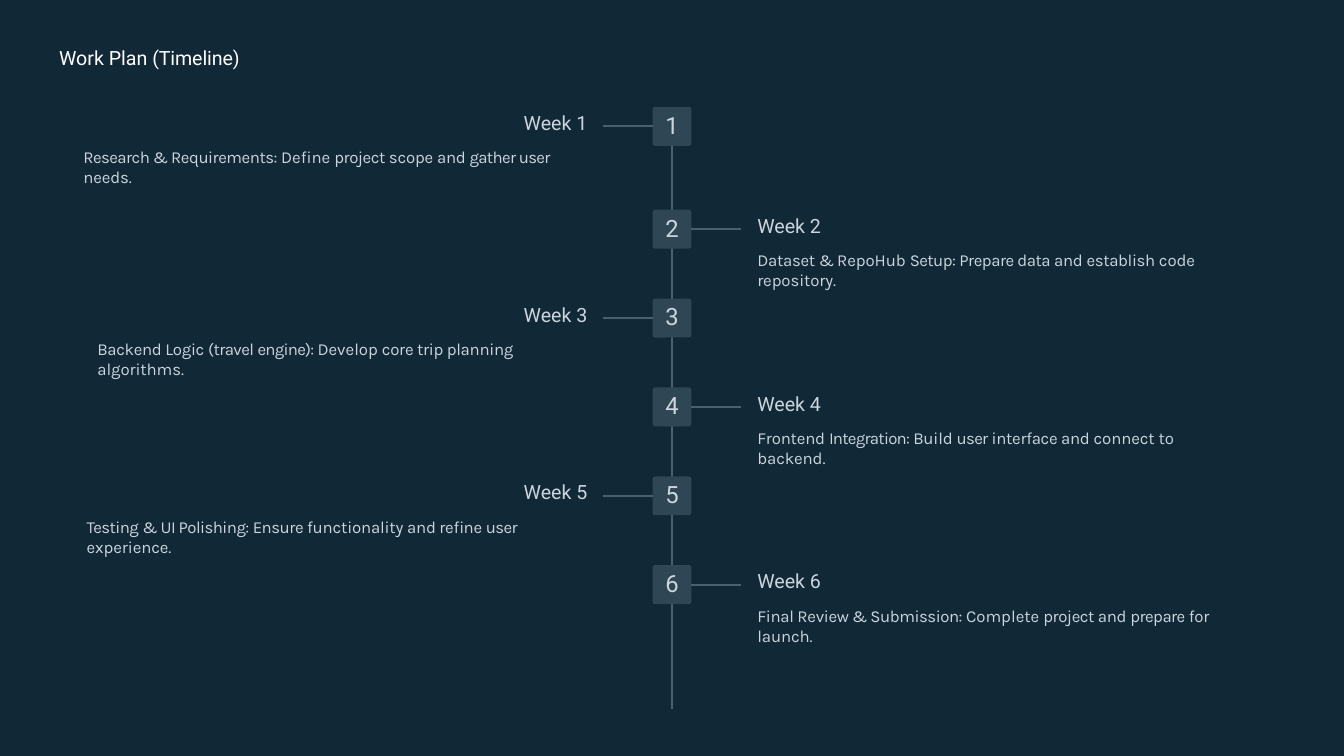
from lxml.etree import SubElement
from pptx import Presentation
from pptx.dml.color import RGBColor
from pptx.enum.shapes import MSO_CONNECTOR as Connector, MSO_SHAPE as Shape
from pptx.enum.text import MSO_ANCHOR as Anchor, MSO_AUTO_SIZE as AutoSize, PP_ALIGN as Align
from pptx.oxml.ns import qn
from pptx.util import Inches, Pt

COLORS = {
    "background": "112836",
    "square": "2F4654",
    "line": "49606E",
    "title": "FFFFFF",
    "text": "CAD5DE",
}
WEEKS = [
    (1.24, 7.5, [("Research", -0.6), (" & ", -1.1), ("Requirements: ", -0.5), ("Define ", 0),
                 ("project ", -0.5), ("scope ", -0.2), ("and ", -0.3), ("gather user ", -0.7),
                 ("needs.", -0.1)]),
    (11.26, 7.23, [("Dataset ", -0.3), ("& ", -1.1), ("RepoHub ", -0.1), ("Setup: ", -0.6),
                   ("Prepare data ", -0.5), ("and ", -0.3), ("establish ", -0.4),
                   ("code repository.", -0.1)]),
    (1.45, 7.29, [("Backend ", -0.4), ("Logic ", -0.3), ("(travel ", -0.6), ("engine): ", -0.8),
                  ("Develop ", 0), ("core trip planning ", -0.3), ("algorithms.", -0.1)]),
    (11.26, 7.03, [("Frontend ", -0.2), ("Integration: ", -0.8), ("Build ", -0.2),
                   ("user ", -0.7), ("interface and ", -0.3), ("connect ", -0.1), ("to ", 0),
                   ("backend.", -0.1)]),
    (1.29, 7.45, [("Testing ", -0.6), ("& ", -1.1), ("UI Polishing: ", -0.6), ("Ensure ", -0.5),
                  ("functionality ", -0.2), ("and refine ", -0.3), ("user ", -0.7),
                  ("experience.", -0.1)]),
    (11.26, 7.32, [("Final Review", -0.3), (" & ", -1.1), ("Submission: ", -0.5),
                   ("Complete ", 0), ("project ", -0.5), ("and ", -0.3), ("prepare ", -0.6),
                   ("for ", -0.2), ("launch.", -0.1)]),
]


def write_runs(paragraph, runs, font_name, size, color, space_before=0):
    paragraph.space_before = Pt(space_before)
    for text, spacing in runs:
        run = paragraph.add_run()
        run.text = text
        run.font.name = font_name
        run.font.size = Pt(size)
        run.font.color.rgb = RGBColor.from_string(COLORS[color])
        run.font._element.set("spc", str(round(spacing * 100)))


def add_line(shapes, start_x, start_y, end_x, end_y):
    line = shapes.add_connector(
        Connector.STRAIGHT, round(start_x), round(start_y), round(end_x), round(end_y))
    line.line.width = Pt(2.25)
    line.line.color.rgb = RGBColor.from_string(COLORS["line"])
    SubElement(line._element.spPr, qn("a:effectLst"))
    return line


presentation = Presentation()
presentation.slide_width = Inches(20)
presentation.slide_height = Inches(11.25)
column = presentation.slide_width / 20
row = presentation.slide_height / 11.25
center = presentation.slide_width / 2
square_size = round(0.58 * column)

slide = presentation.slides.add_slide(presentation.slide_layouts[5])
slide.background.fill.solid()
slide.background.fill.fore_color.rgb = RGBColor.from_string(COLORS["background"])

title = slide.shapes.title
title.left, title.top = round(0.88 * column), round(0.66 * row)
title.width, title.height = round(2.78 * column), round(0.38 * row)
frame = title.text_frame
frame.auto_size = AutoSize.NONE
frame.word_wrap = False
frame.vertical_anchor = Anchor.TOP
frame.margin_left = frame.margin_right = frame.margin_bottom = 0
frame.margin_top = Inches(0.02)
frame.paragraphs[0].alignment = Align.LEFT
write_runs(frame.paragraphs[0], [("Work Plan ", 0), ("(Timeline)", -0.1)],
           "Roboto", 21, "title", 1.2)

spine = add_line(slide.shapes, center, 1.59 * row, center, 10.55 * row)

for number, (text_left, text_width, description) in enumerate(WEEKS, 1):
    on_left = number % 2 == 1
    top = 1.59 * row if number == 1 else (3.12 + (number - 2) * 1.3225) * row

    square = slide.shapes.add_shape(
        Shape.ROUNDED_RECTANGLE, round(center - square_size / 2), round(top),
        square_size, square_size)
    square.adjustments[0] = 0.07
    square.shadow.inherit = False
    square.fill.solid()
    square.fill.fore_color.rgb = RGBColor.from_string(COLORS["square"])
    square.line.fill.background()
    frame = square.text_frame
    frame.margin_left = frame.margin_right = frame.margin_top = 0
    frame.margin_bottom = Inches(0.05)
    frame.vertical_anchor = Anchor.MIDDLE
    frame.paragraphs[0].alignment = Align.CENTER
    write_runs(frame.paragraphs[0], [(str(number), -0.5)], "Roboto", 25.5, "text")
    if number == 1:
        spine.begin_connect(square, 0)

    middle = top + square_size / 2
    branch_end = center + (-1.02 if on_left else 1.02) * column
    branch = add_line(slide.shapes, center, middle, branch_end, middle)
    branch.begin_connect(square, 1 if on_left else 3)

    box = slide.shapes.add_textbox(
        round(text_left * column), round(top + 0.04 * row),
        round(text_width * column), round(0.87 * row))
    frame = box.text_frame
    frame.word_wrap = True
    frame.margin_left = Inches(0 if on_left else 0.01)
    frame.margin_right = frame.margin_bottom = 0
    frame.margin_top = Inches(0.02)
    heading = frame.paragraphs[0]
    heading.alignment = Align.RIGHT if on_left else Align.LEFT
    write_runs(heading, [("Week ", 0), (str(number), -0.5)], "Roboto", 21, "text", 1.2)
    body = frame.add_paragraph()
    body.alignment = Align.LEFT
    write_runs(body, description, "Karla", 18, "text", 13.5)

presentation.save("out.pptx")
